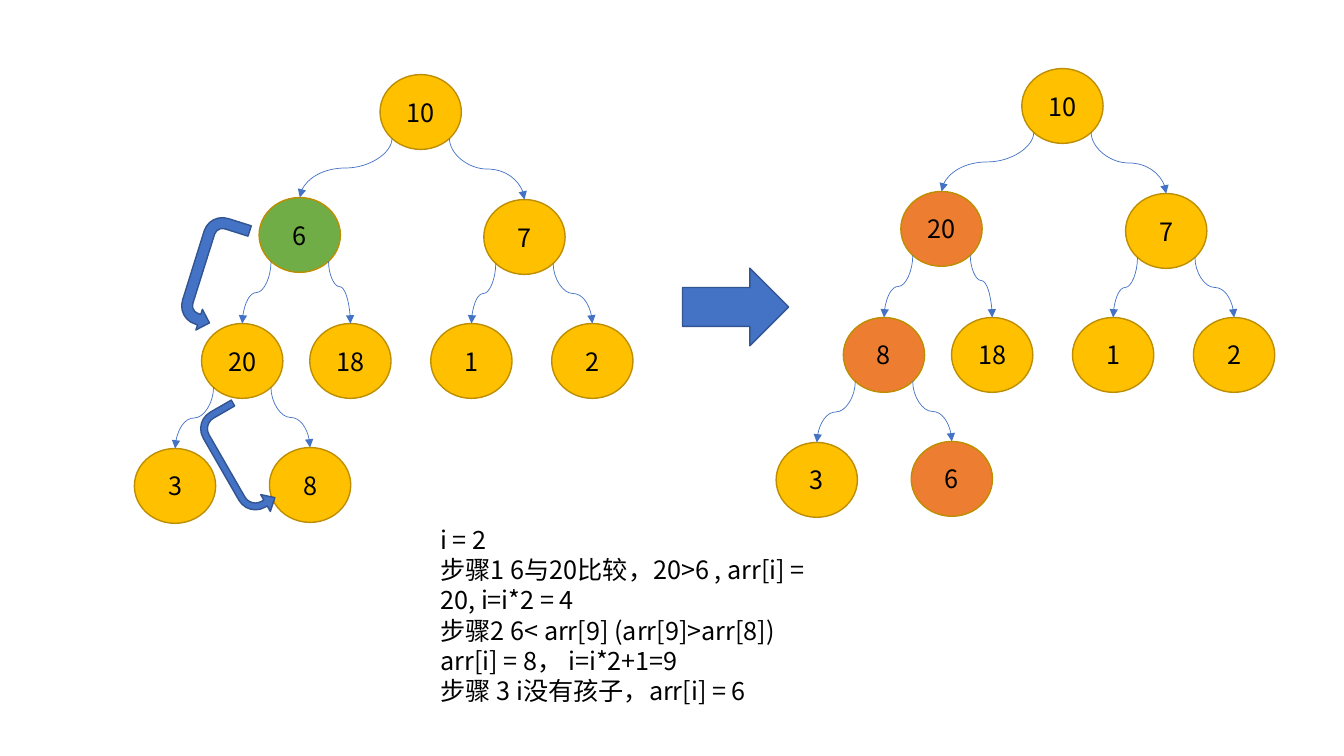
"""Draw a heap sift-down step as two trees, with the steps explained."""
from dataclasses import dataclass
from math import sqrt
from typing import NamedTuple

from lxml.etree import SubElement
from pptx import Presentation
from pptx.dml.color import RGBColor as Rgb
from pptx.enum.shapes import MSO_CONNECTOR as Link, MSO_SHAPE as Kind
from pptx.enum.text import MSO_ANCHOR as Anchor, MSO_AUTO_SIZE as Fit, PP_ALIGN as Align
from pptx.oxml.ns import qn
from pptx.util import Inches, Pt


@dataclass(frozen=True)
class Theme:
    """Colours, font and sizes of the slide."""
    gold: str = "FFC000"
    green: str = "70AD47"
    coral: str = "ED7D31"
    rim: str = "BD8E00"
    blue: str = "4472C4"
    navy: str = "325491"
    ink: str = "000000"
    font: str = "Noto Sans CJK SC"
    size: float = 18
    edge: float = 1
    thin: float = 0.5


class Box(NamedTuple):
    """Left, top, width and height in percent of the slide."""
    x: float
    y: float
    w: float
    h: float


class Tree(NamedTuple):
    """A heap in level order, its shift and its tinted nodes."""
    keys: tuple[int, ...]
    dx: float
    dy: float
    tints: dict[int, str]


class Arrow(NamedTuple):
    """A block arrow with its turn, flip and adjustments."""
    kind: Kind
    box: Box
    turn: float = 0
    flip: bool = False
    adj: tuple[float, ...] = ()


THEME = Theme()
WIDE, HIGH = Inches(13.33), Inches(7.5)
COL, ROW = WIDE / 100, HIGH / 100
NODE_W, NODE_H = 6.05, 9.9
PORT = sqrt(2) / 4
SPOTS = ((28.28, 9.87), (19.28, 26.13), (36, 26.4),
         (15, 42.8), (23.05, 42.8), (32.05, 42.8), (41.05, 42.8),
         (10, 59.33), (20.05, 59.2))
BENDS = {5: 0.406}
TREES = (
    Tree((10, 6, 7, 20, 18, 1, 2, 3, 8), 0, 0, {2: THEME.green}),
    Tree((10, 20, 7, 8, 18, 1, 2, 3, 6), 47.75, -0.8,
         dict.fromkeys((2, 4, 9), THEME.coral)),
)
ARROWS = (
    Arrow(Kind.RIGHT_ARROW, Box(50.78, 35.47, 7.9, 10.27)),
    Arrow(Kind.U_TURN_ARROW, Box(11.55, 33.47, 8.63, 5.73), 107.4, True),
    Arrow(Kind.U_TURN_ARROW, Box(13.65, 58.13, 8.63, 5.73), 60.1, True,
          (0.157, 0.223, 0.25, 0.438, 0.75)),
)
STEPS = (
    "i = 2",
    "步骤1 6与20比较，20>6 , arr[i] = 20, i=i*2 = 4",
    "步骤2 6< arr[9] (arr[9]>arr[8]) arr[i] = 8， i=i*2+1=9",
    "步骤 3 i没有孩子，arr[i] = 6",
)
NOTE = Box(32.03, 68.67, 30.53, 25.6)


def scale(box: Box) -> tuple[int, ...]:
    """Turn percent into slide units."""
    return tuple(round(n) for n in (box.x * COL, box.y * ROW, box.w * COL, box.h * ROW))


def style(para) -> None:
    """Format the runs of a paragraph."""
    for run in para.runs:
        font = run.font
        font.name, font.size = THEME.font, Pt(THEME.size)
        font.color.rgb = Rgb.from_string(THEME.ink)
        SubElement(font._element, qn("a:ea"), typeface=THEME.font)


def block(shapes, kind: Kind, box: Box, fill: str, rim: str):
    """Add a flat filled shape."""
    shape = shapes.add_shape(kind, *scale(box))
    shape.shadow.inherit = False
    shape.fill.solid()
    shape.fill.fore_color.rgb = Rgb.from_string(fill)
    shape.line.color.rgb = Rgb.from_string(rim)
    shape.line.width = Pt(THEME.edge)
    return shape


def node(shapes, key: int, box: Box, fill: str) -> None:
    """Add one labelled tree node."""
    frame = block(shapes, Kind.OVAL, box, fill, THEME.rim).text_frame
    frame.text = str(key)
    frame.vertical_anchor = Anchor.MIDDLE
    frame.paragraphs[0].alignment = Align.CENTER
    style(frame.paragraphs[0])


def edge(shapes, top: Box, low: Box, side: int, bend: float) -> None:
    """Curve down from a parent's lower corner to a child's top."""
    x1 = (top.x + top.w * (0.5 + side * PORT)) * COL
    y1 = (top.y + top.h * (0.5 + PORT)) * ROW
    x2, y2 = (low.x + low.w / 2) * COL, low.y * ROW
    midx, midy = (x1 + x2) / 2, (y1 + y2) / 2
    long, wide = y2 - y1, abs(x2 - x1)
    ends = (midx - long / 2, midy - wide / 2, midx + long / 2, midy + wide / 2)
    line = shapes.add_connector(Link.CURVE, *(round(n) for n in ends))
    line.line.color.rgb = Rgb.from_string(THEME.blue)
    line.line.width = Pt(THEME.thin)
    props = line._element.spPr
    frame = props.find(qn("a:xfrm"))
    frame.set("rot", str((270 if side > 0 else 90) * 60000))
    if side > 0:
        frame.set("flipH", "1")
    guides = props.find(qn("a:prstGeom")).get_or_add_avLst()
    SubElement(guides, qn("a:gd"), name="adj1", fmla=f"val {round(bend * 100000)}")
    SubElement(props.find(qn("a:ln")), qn("a:tailEnd"), type="triangle")
    SubElement(props, qn("a:effectLst"))


def grow(shapes, tree: Tree) -> None:
    """Draw a heap, where node i hangs from node i // 2."""
    boxes = [Box(x + tree.dx, y + tree.dy, NODE_W, NODE_H) for x, y in SPOTS]
    for i, (key, box) in enumerate(zip(tree.keys, boxes), 1):
        node(shapes, key, box, tree.tints.get(i, THEME.gold))
    for i in range(2, len(boxes) + 1):
        side = 1 if i % 2 else -1
        edge(shapes, boxes[i // 2 - 1], boxes[i - 1], side, BENDS.get(i, 0.5))


def point(shapes, arrow: Arrow) -> None:
    """Add one block arrow."""
    shape = block(shapes, arrow.kind, arrow.box, THEME.blue, THEME.navy)
    shape.rotation = arrow.turn
    if arrow.flip:
        shape._element.spPr.find(qn("a:xfrm")).set("flipV", "1")
    for i, share in enumerate(arrow.adj):
        shape.adjustments[i] = share


def note(shapes) -> None:
    """Write out the steps."""
    frame = shapes.add_textbox(*scale(NOTE)).text_frame
    frame.word_wrap = True
    frame.auto_size = Fit.SHAPE_TO_FIT_TEXT
    frame.text = "\n".join(STEPS)
    for para in frame.paragraphs:
        style(para)


def main() -> None:
    """Build and save the slide."""
    deck = Presentation()
    deck.slide_width, deck.slide_height = WIDE, HIGH
    shapes = deck.slides.add_slide(deck.slide_layouts[6]).shapes
    for tree in TREES:
        grow(shapes, tree)
    for arrow in ARROWS:
        point(shapes, arrow)
    note(shapes)
    deck.save("out.pptx")


main()
